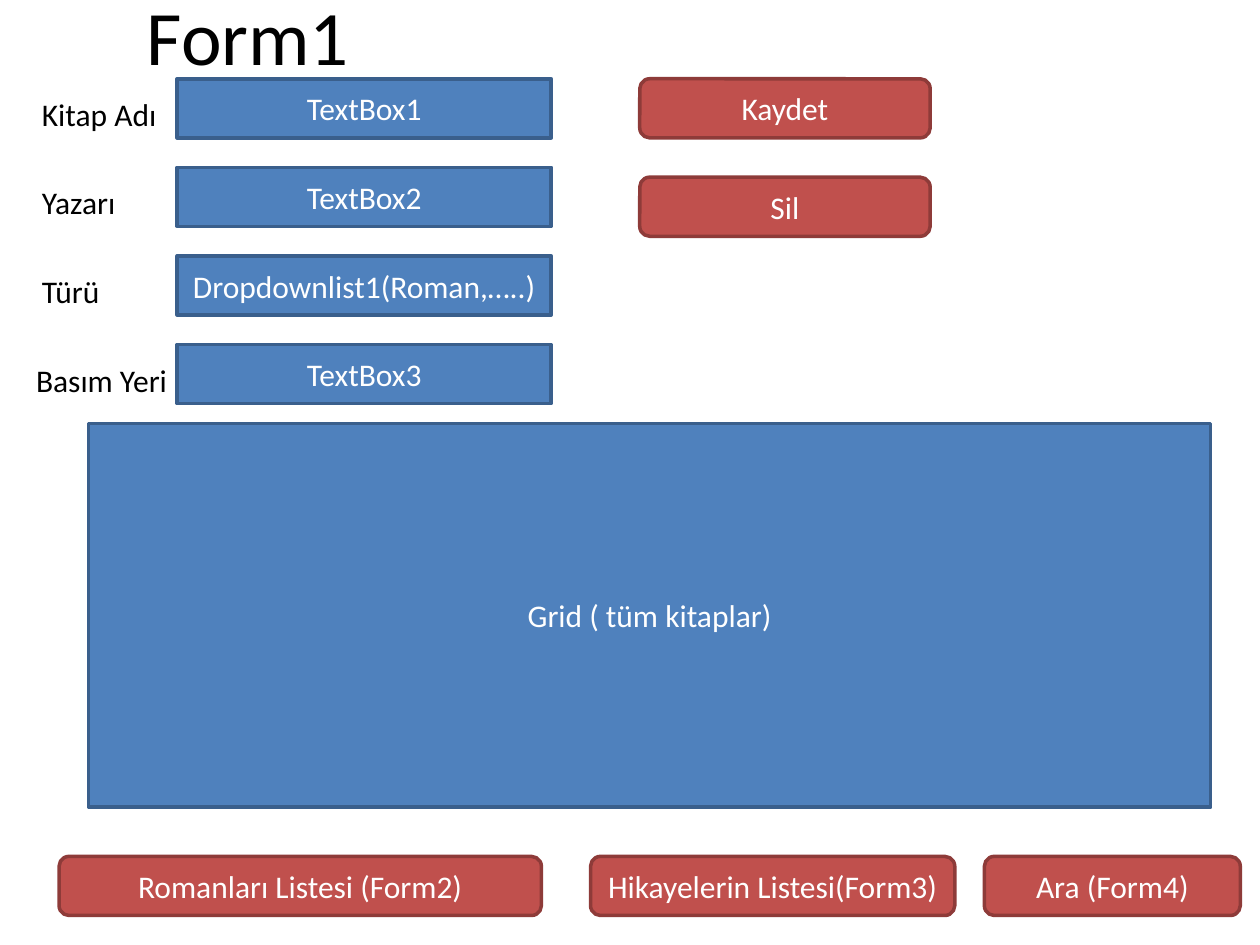
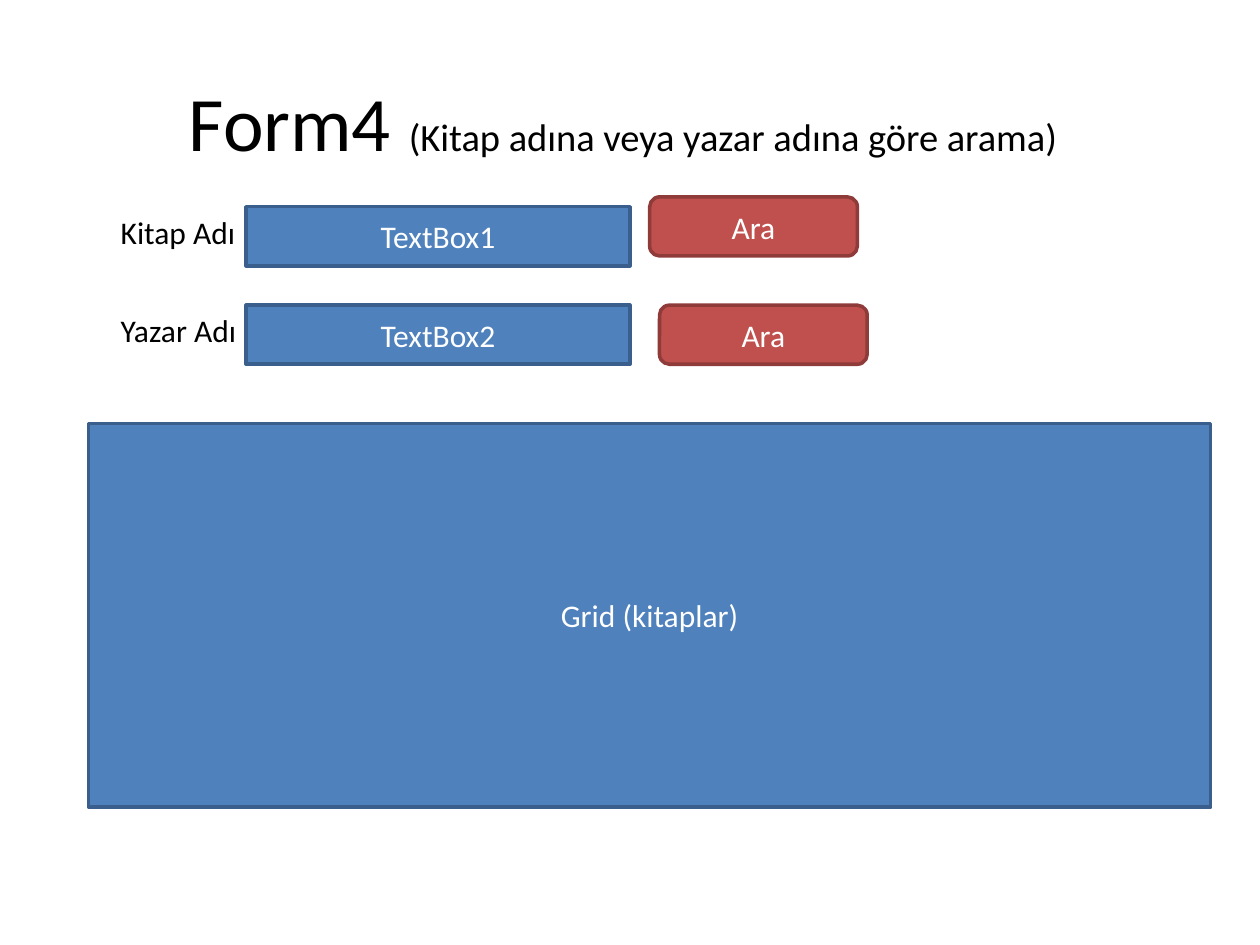
from dataclasses import dataclass
from typing import NamedTuple

from pptx import Presentation
from pptx.dml.color import RGBColor
from pptx.enum.shapes import MSO_SHAPE
from pptx.enum.text import MSO_ANCHOR, MSO_AUTO_SIZE, PP_ALIGN
from pptx.util import Inches, Pt

COLS, ROWS = 128, 96
WIDE, HIGH = Inches(10), Inches(7.5)


@dataclass(frozen=True)
class Theme:
    font: str = "Calibri"
    ink: str = "000000"
    pale: str = "FFFFFF"
    blue: tuple = ("4F81BD", "3A5F8C")
    red: tuple = ("C0504D", "8E3B39")
    title: int = 44
    note: int = 22
    body: int = 18
    line: int = 2


THEME = Theme()


class Box(NamedTuple):
    """A region in grid columns and rows."""
    x: float
    y: float
    w: float
    h: float

    def inner(self, x, y, w, h):
        return Box(self.x + x, self.y + y, w, h)

    def place(self):
        across, down = WIDE / COLS, HIGH / ROWS
        return (round(self.x * across), round(self.y * down),
                round(self.w * across), round(self.h * down))


LIST = Box(9, 43, 114, 39)
TALL = 6  # rows in a field or button


def write(shape, *runs, color=THEME.ink, align=PP_ALIGN.CENTER,
          anchor=MSO_ANCHOR.MIDDLE):
    """Fill a shape with (text, size) runs in one paragraph."""
    frame = shape.text_frame
    frame.word_wrap = True
    frame.vertical_anchor = anchor
    para = frame.paragraphs[0]
    para.alignment = align
    for text, size in runs:
        run = para.add_run()
        run.text = text
        run.font.name = THEME.font
        run.font.size = Pt(size)
        run.font.color.rgb = RGBColor.from_string(color)


def panel(slide, box, text, tint=THEME.blue, kind=MSO_SHAPE.RECTANGLE):
    fill, edge = tint
    shape = slide.shapes.add_shape(kind, *box.place())
    shape.shadow.inherit = False
    shape.fill.solid()
    shape.fill.fore_color.rgb = RGBColor.from_string(fill)
    shape.line.color.rgb = RGBColor.from_string(edge)
    shape.line.width = Pt(THEME.line)
    write(shape, (text, THEME.body), color=THEME.pale)


def button(slide, box, text):
    panel(slide, box, text, THEME.red, MSO_SHAPE.ROUNDED_RECTANGLE)


def label(slide, box, text):
    shape = slide.shapes.add_textbox(*box.place())
    write(shape, (text, THEME.body), align=PP_ALIGN.LEFT, anchor=MSO_ANCHOR.TOP)
    shape.text_frame.auto_size = MSO_AUTO_SIZE.SHAPE_TO_FIT_TEXT


def title(slide, box, *runs):
    write(slide.shapes.add_textbox(*box.place()), *runs)


def fields(slide, box, rows, start, pitch, drop=0):
    """Stack rows of (label, shift, field); fields begin at column start."""
    for i, (name, shift, text) in enumerate(rows):
        top = i * pitch
        panel(slide, box.inner(start, top, box.w - start, TALL), text)
        label(slide, box.inner(shift, top + drop, 16.1, 5.2), name)


def buttons(slide, box, items):
    """Place (column, row, width, text) buttons inside the box."""
    for x, y, wide, text in items:
        button(slide, box.inner(x, y, wide, TALL), text)


def entry(slide):
    """Book entry form."""
    title(slide, Box(-5, -5, 60.4, 17.1), ("Form1", THEME.title))
    panel(slide, LIST, "Grid ( tüm kitaplar)")
    fields(slide, Box(3, 8, 53, 33), [
        ("Kitap Adı", 0, "TextBox1"),
        ("Yazarı", 0, "TextBox2"),
        ("Türü", 0, "Dropdownlist1(Roman,…..)"),
        ("Basım Yeri", -0.6, "TextBox3"),
    ], start=15, pitch=9, drop=1)
    # Actions
    buttons(slide, Box(65, 8, 29.5, 16), [
        (0, 0, 29.5, "Kaydet"),
        (0, 10, 29.5, "Sil"),
    ])
    # Links to the other forms
    buttons(slide, Box(6, 87, 120, TALL), [
        (0, 0, 49, "Romanları Listesi (Form2)"),
        (54, 0, 37, "Hikayelerin Listesi(Form3)"),
        (94, 0, 26, "Ara (Form4)"),
    ])


def search(slide):
    """Book search form."""
    title(slide, Box(3.6, 3.7, 119.4, 17.1), ("Form4 ", THEME.title),
          ("(Kitap adına veya yazar adına göre arama)", THEME.note))
    panel(slide, LIST, "Grid (kitaplar)")
    fields(slide, Box(11, 21, 53, 16), [
        ("Kitap Adı", 0, "TextBox1"),
        ("Yazar Adı", 0, "TextBox2"),
    ], start=14, pitch=10)
    buttons(slide, Box(66, 20, 22, 17), [
        (0, 0, 21.1, "Ara"),
        (1, 11, 21.1, "Ara"),
    ])


def main():
    deck = Presentation()
    deck.slide_width, deck.slide_height = WIDE, HIGH
    blank = deck.slide_layouts[6]
    for build in (entry, search):
        build(deck.slides.add_slide(blank))
    deck.save("out.pptx")


if __name__ == "__main__":
    main()
